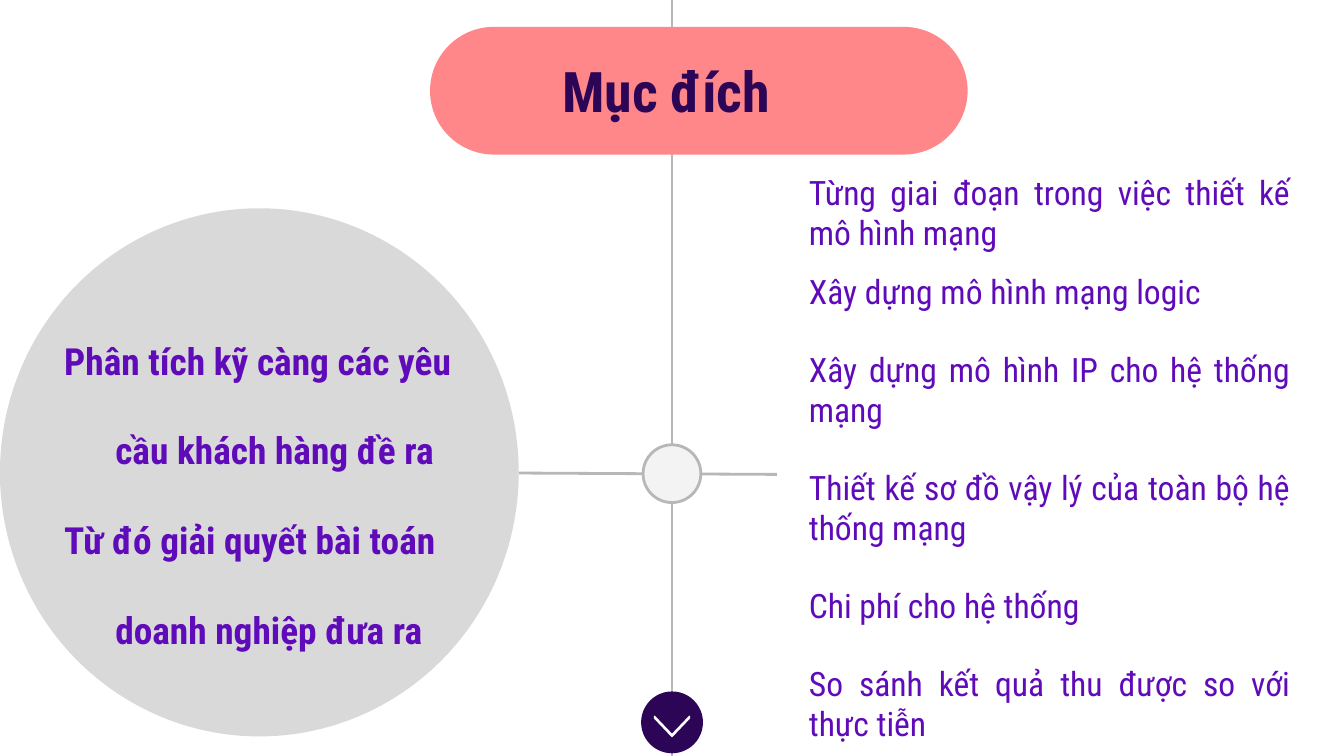
from pptx import Presentation
from pptx.dml.color import RGBColor
from pptx.enum.shapes import MSO_CONNECTOR as Link, MSO_SHAPE as Kind
from pptx.enum.text import MSO_ANCHOR as Anchor, PP_ALIGN as Align
from pptx.oxml.ns import qn
from pptx.util import Inches, Pt
from lxml.etree import SubElement as Sub

FONT = "Roboto Condensed"
INK, TEXT, GRAY = "2D0557", "600BBA", "B7B7B7"
AXIS = 20
LEFT = [
    "Phân tích kỹ càng các yêu cầu khách hàng đề ra",
    "Từ đó giải quyết bài toán doanh nghiệp đưa ra",
]
GOALS = [
    "Từng giai đoạn trong việc thiết kế mô hình mạng",
    "Xây dựng mô hình mạng logic",
    "Xây dựng mô hình IP cho hệ thống mạng",
    "Thiết kế sơ đồ vậy lý của toàn bộ hệ thống mạng",
    "Chi phí cho hệ thống",
    "So sánh kết quả thu được so với thực tiễn",
]


def cell(n):
    return Inches(n / 4)


def color(code):
    return RGBColor.from_string(code)


class Deck:
    def __init__(self):
        self.prs = Presentation()
        self.prs.slide_width = cell(40)
        self.prs.slide_height = cell(22.5)
        self.slide = self.prs.slides.add_slide(self.prs.slide_layouts[6])

    def shape(self, kind, box, fill, edge=None, width=0.75, turn=0, adj=None):
        item = self.slide.shapes.add_shape(kind, *map(cell, box))
        item.shadow.inherit = False
        item.fill.solid()
        item.fill.fore_color.rgb = color(fill)
        if edge:
            item.line.color.rgb = color(edge)
            item.line.width = Pt(width)
        else:
            item.line.fill.background()
        item.rotation = turn
        if adj is not None:
            item.adjustments[0] = adj

    def line(self, start, end, tail=None):
        ends = map(cell, (*start, *end))
        item = self.slide.shapes.add_connector(Link.STRAIGHT, *ends)
        item.line.color.rgb = color(GRAY)
        item.line.width = Pt(1.5)
        props = item._element.spPr
        if tail:
            Sub(props.find(qn("a:ln")), qn("a:tailEnd"), type=tail)
        Sub(props, qn("a:effectLst"))

    def text(self, box, lines, size, tone=TEXT, bold=False, align=Align.LEFT,
             anchor=Anchor.MIDDLE, margin=0, hang=0, pitch=1, gap=0):
        frame = self.slide.shapes.add_textbox(*map(cell, box)).text_frame
        frame.word_wrap = True
        frame.vertical_anchor = anchor
        frame.margin_left = frame.margin_right = Inches(0.1)
        frame.margin_top = frame.margin_bottom = Inches(0.1)
        for i, words in enumerate(lines):
            para = frame.add_paragraph() if i else frame.paragraphs[0]
            para.text = words
            para.alignment = align
            para.line_spacing = pitch
            para.space_before = para.space_after = Pt(gap if i else 0)
            props = para._p.get_or_add_pPr()
            props.set("marL", str(Inches(margin)))
            props.set("indent", str(Inches(hang)))
            font = para.font
            font.name, font.size, font.bold = FONT, Pt(size), bold
            font.color.rgb = color(tone)


def main():
    deck = Deck()
    deck.line((AXIS, -0.44), (AXIS, 23.2), "oval")
    deck.shape(Kind.OVAL, (0, 6.2, 15.44, 15.72), "D9D9D9")
    deck.line((15.44, 14.08), (23.12, 14.12))
    deck.shape(Kind.OVAL, (AXIS - 0.86, 13.24, 1.72, 1.72), "F3F3F3", GRAY, 1.5)
    deck.text((1.04, 6.2, 13.36, 15.72), LEFT, 20, bold=True,
              margin=0.5, hang=-0.38, pitch=2)
    deck.text((23.12, 4.72, 15.68, 17.88), GOALS, 18, align=Align.JUSTIFY,
              anchor=Anchor.TOP, margin=0.14, gap=10)
    deck.shape(Kind.OVAL, (AXIS - 0.9, 20.6, 1.8, 1.8), INK, INK)
    deck.shape(Kind.CHEVRON, (AXIS - 0.3, 21.1, 0.6, 1.04), "FFFFFF", "FFFFFF",
               turn=90, adj=0.91)
    deck.shape(Kind.ROUNDED_RECTANGLE, (12.8, 0.8, 16, 3.8), "FF878A", adj=0.5)
    deck.text((14.12, 0.92, 11.8, 3.52), ["Mục đích "], 30, INK, True, Align.CENTER)
    deck.prs.save("out.pptx")


if __name__ == "__main__":
    main()
